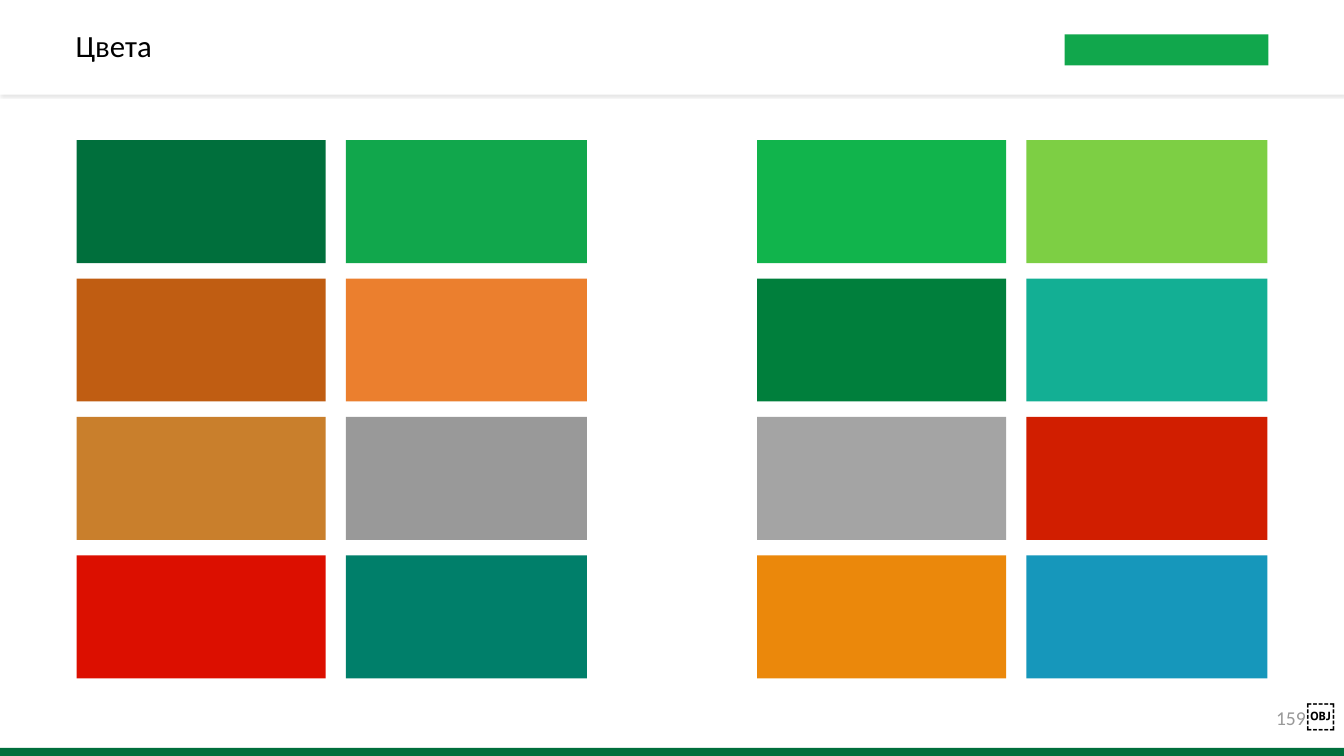
import lxml.etree
import pptx
import pptx.dml.color
import pptx.enum.shapes
import pptx.enum.text
import pptx.oxml.ns
import pptx.util

WIDTH, HEIGHT = 13.33, 7.5
HEADER_HEIGHT = 0.94
GREEN = "006F3C"
PALETTE_LEFTS = (0.76, 7.51)
SWATCH_OFFSETS = (0, 2.67)
SWATCH_WIDTHS = (2.47, 2.39)
SWATCH_HEIGHT = 1.22
FIRST_ROW, LAST_ROW = 1.39, 5.51
PALETTES = (
    ((GREEN, "11A74C"), ("C05D12", "EB7F2E"), ("C97F2C", "999999"), ("DC0F00", "007F6A")),
    (("11B44C", "7DCF44"), ("007F3C", "13AF94"), ("A4A4A4", "D11E00"), ("EB880B", "1697BB")),
)


def color(value):
    return pptx.dml.color.RGBColor.from_string(value)


def inches(*lengths):
    return [pptx.util.Inches(length) for length in lengths]


def set_attributes(target, values):
    for name, value in values.items():
        setattr(target, name, value)


def add_rectangle(slide, left, top, width, height, fill):
    shape = slide.shapes.add_shape(
        pptx.enum.shapes.MSO_SHAPE.RECTANGLE, *inches(left, top, width, height))
    shape.shadow.inherit = False
    shape.fill.solid()
    shape.fill.fore_color.rgb = color(fill)
    shape.line.fill.background()
    return shape


def add_soft_shadow(shape):
    effects = shape._element.spPr.find(pptx.oxml.ns.qn("a:effectLst"))
    qualified = pptx.oxml.ns.qn
    shadow = lxml.etree.SubElement(
        effects, qualified("a:outerShdw"), blurRad=str(pptx.util.Pt(1)),
        dist=str(pptx.util.Pt(2)), dir="5400000", algn="t", rotWithShape="0")
    tint = lxml.etree.SubElement(shadow, qualified("a:srgbClr"), val="8A8A8A")
    lxml.etree.SubElement(tint, qualified("a:alpha"), val="20000")


def add_run(paragraph, text, size, font, fill):
    run = paragraph.add_run()
    run.text = text
    set_attributes(run.font, {"size": pptx.util.Pt(size), "name": font, "bold": False})
    run.font.color.rgb = color(fill)


def add_page_number(slide):
    box = slide.shapes.add_textbox(*inches(12.57, 6.91, WIDTH - 12.57, 0.35))
    set_attributes(box.text_frame, {
        "word_wrap": True,
        "vertical_anchor": pptx.enum.text.MSO_ANCHOR.MIDDLE,
        "margin_left": 0, "margin_right": 0, "margin_top": 0, "margin_bottom": 0,
    })
    paragraph = box.text_frame.paragraphs[0]
    paragraph.alignment = pptx.enum.text.PP_ALIGN.CENTER
    add_run(paragraph, "159", 14, "Calibri", "999999")
    add_run(paragraph, "￼", 21, "Cabin", "000000")


def place_title(slide, text):
    title = slide.shapes.title
    left, top, width, height = inches(0.65, 0, 9.84, HEADER_HEIGHT)
    set_attributes(title, {"left": left, "top": top, "width": width, "height": height})
    set_attributes(title.text_frame, {
        "word_wrap": True,
        "auto_size": pptx.enum.text.MSO_AUTO_SIZE.NONE,
        "vertical_anchor": pptx.enum.text.MSO_ANCHOR.MIDDLE,
    })
    paragraph = title.text_frame.paragraphs[0]
    set_attributes(paragraph, {
        "alignment": pptx.enum.text.PP_ALIGN.LEFT, "line_spacing": 0.9})
    add_run(paragraph, text, 22, "Calibri", "000000")
    slide.shapes._spTree.append(title._element)


def add_palette(slide, palette_left, rows):
    pitch = (LAST_ROW - FIRST_ROW) / (len(rows) - 1)
    for row, fills in enumerate(rows):
        for offset, width, fill in zip(SWATCH_OFFSETS, SWATCH_WIDTHS, fills):
            add_rectangle(slide, palette_left + offset, FIRST_ROW + row * pitch,
                          width, SWATCH_HEIGHT, fill)


def main():
    presentation = pptx.Presentation()
    presentation.slide_width, presentation.slide_height = inches(WIDTH, HEIGHT)
    slide = presentation.slides.add_slide(presentation.slide_layouts[5])
    add_rectangle(slide, 0, 7.42, WIDTH, HEIGHT - 7.42, GREEN)
    add_page_number(slide)
    add_soft_shadow(add_rectangle(slide, 0, 0, WIDTH, HEADER_HEIGHT, "FFFFFF"))
    add_rectangle(slide, 10.56, 0.34, 2.02, 0.31, "11A74C")
    place_title(slide, "Цвета")
    for palette_left, rows in zip(PALETTE_LEFTS, PALETTES):
        add_palette(slide, palette_left, rows)
    presentation.save("out.pptx")


if __name__ == "__main__":
    main()
